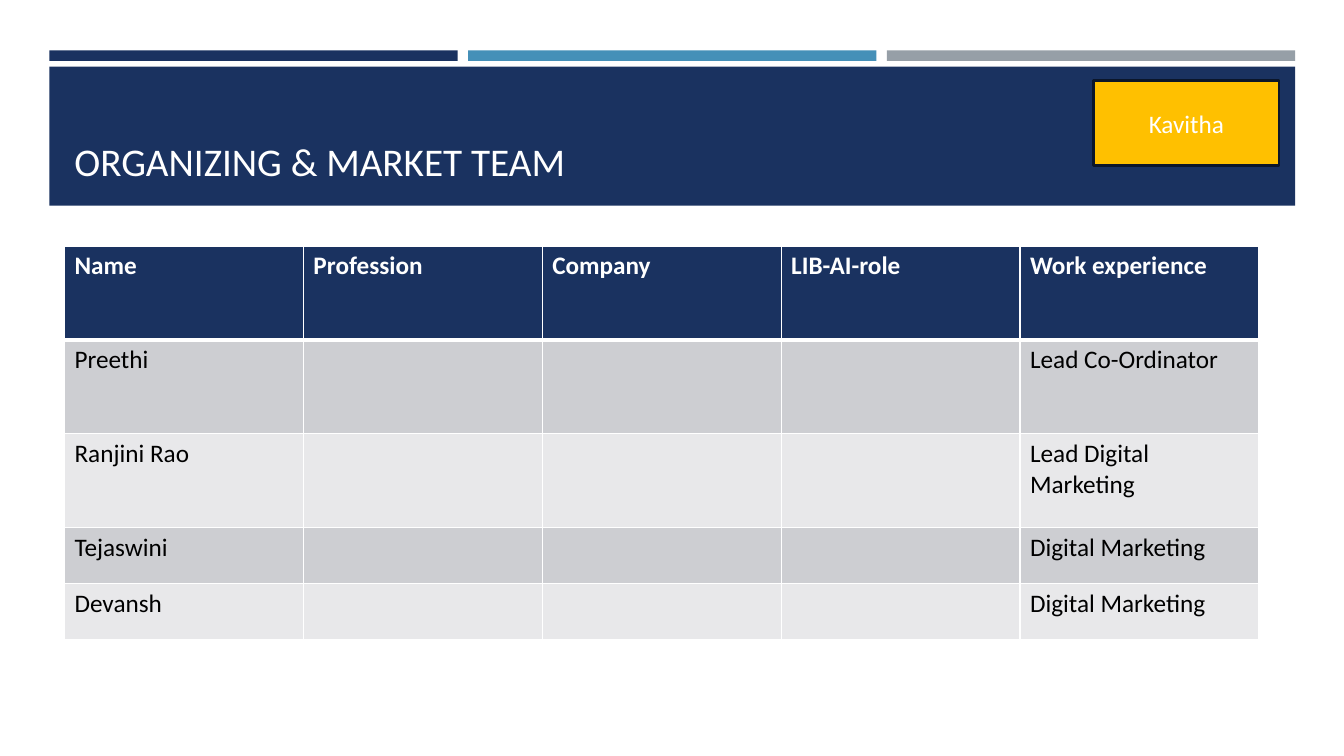
from dataclasses import dataclass

from lxml import etree
from pptx import Presentation
from pptx.dml.color import RGBColor
from pptx.enum.shapes import MSO_SHAPE
from pptx.enum.text import MSO_ANCHOR, PP_ALIGN
from pptx.oxml.ns import qn
from pptx.util import Inches, Pt

RECT = MSO_SHAPE.RECTANGLE
MIDDLE, BOTTOM = MSO_ANCHOR.MIDDLE, MSO_ANCHOR.BOTTOM
LEFT, CENTER = PP_ALIGN.LEFT, PP_ALIGN.CENTER

NAVY, BLUE, GREY = "1A3260", "4590B8", "969FA7"
WHITE, BLACK, AMBER, INK = "FFFFFF", "000000", "FFC000", "0B162A"
BANDS = ("CDCED2", "E8E8EA")

WIDTH, HEIGHT = Inches(13.33), Inches(7.5)
COLUMN, ROW = WIDTH / 100, HEIGHT / 100


@dataclass
class Box:
    x: float
    y: float
    w: float
    h: float

    def place(self) -> tuple[int, int, int, int]:
        return (round(self.x * COLUMN), round(self.y * ROW),
                round(self.w * COLUMN), round(self.h * ROW))


BANNER = Box(3.67, 8.8, 92.7, 18.4)
TITLE = Box(4.8, 10.67, 90.45, 14.4)
BADGE = Box(81.38, 10.67, 13.8, 11.2)
TABLE = Box(4.8, 32.53, 88.88, 52.14)
ROW_HEIGHTS = (12.4, 12.4, 12.4, 7.47, 7.47)
BAR_COLORS = (NAVY, BLUE, GREY)
BAR_GAP = 0.78

TEAM = (
    ("Name", "Profession", "Company", "LIB-AI-role", "Work experience"),
    ("Preethi", "", "", "", "Lead Co-Ordinator"),
    ("Ranjini Rao", "", "", "", "Lead Digital Marketing"),
    ("Tejaswini", "", "", "", "Digital Marketing"),
    ("Devansh", "", "", "", "Digital Marketing"),
)


def rgb(color: str) -> RGBColor:
    return RGBColor.from_string(color)


def write(tf, text: str, color: str, size: int = 18, bold: bool = False, align=LEFT) -> None:
    p = tf.paragraphs[0]
    p.alignment = align
    r = p.add_run()
    r.text = text
    for name, value in {"name": "Calibri", "size": Pt(size), "bold": bold}.items():
        setattr(r.font, name, value)
    r.font.color.rgb = rgb(color)


def add_rect(s, box: Box, fill: str):
    sp = s.shapes.add_shape(RECT, *box.place())
    sp.shadow.inherit = False
    sp.fill.solid()
    sp.fill.fore_color.rgb = rgb(fill)
    sp.line.fill.background()
    return sp


def add_header(s) -> None:
    bar_width = (BANNER.w - BAR_GAP * (len(BAR_COLORS) - 1)) / len(BAR_COLORS)
    for i, color in enumerate(BAR_COLORS):
        add_rect(s, Box(BANNER.x + i * (bar_width + BAR_GAP), 6.67, bar_width, 1.4), color)
    add_rect(s, BANNER, NAVY)
    tf = s.shapes.add_textbox(*TITLE.place()).text_frame
    tf.word_wrap = True
    tf.vertical_anchor = BOTTOM
    write(tf, "ORGANIZING & MARKET TEAM", WHITE, size=28)


def set_borders(cell, bottom: float, top: float) -> None:
    tc_pr = cell._tc.get_or_add_tcPr()
    widths = {"a:lnL": 1, "a:lnR": 1, "a:lnT": top, "a:lnB": bottom}
    for i, (tag, width) in enumerate(widths.items()):
        ln = etree.Element(qn(tag), w=str(Pt(width)))
        fill = etree.SubElement(ln, qn("a:solidFill"))
        etree.SubElement(fill, qn("a:srgbClr"), val=WHITE)
        tc_pr.insert(i, ln)


def add_team_table(s) -> None:
    table = s.shapes.add_table(len(TEAM), len(TEAM[0]), *TABLE.place()).table
    for column in table.columns:
        column.width = round(TABLE.w * COLUMN / len(TEAM[0]))
    for i, (names, height) in enumerate(zip(TEAM, ROW_HEIGHTS)):
        table.rows[i].height = round(height * ROW)
        header = i == 0
        for j, text in enumerate(names):
            cell = table.cell(i, j)
            cell.fill.solid()
            cell.fill.fore_color.rgb = rgb(NAVY if header else BANDS[(i - 1) % 2])
            set_borders(cell, bottom=3 if header else 1, top=3 if i == 1 else 1)
            if text:
                write(cell.text_frame, text, WHITE if header else BLACK, bold=header)


def add_badge(s) -> None:
    sp = add_rect(s, BADGE, AMBER)
    sp.line.color.rgb = rgb(INK)
    sp.line.width = Pt(1.75)
    sp.text_frame.vertical_anchor = MIDDLE
    write(sp.text_frame, "Kavitha", WHITE, align=CENTER)


def main() -> None:
    prs = Presentation()
    prs.slide_width, prs.slide_height = WIDTH, HEIGHT
    s = prs.slides.add_slide(prs.slide_layouts[6])
    add_header(s)
    add_team_table(s)
    add_badge(s)
    prs.save("out.pptx")


if __name__ == "__main__":
    main()
